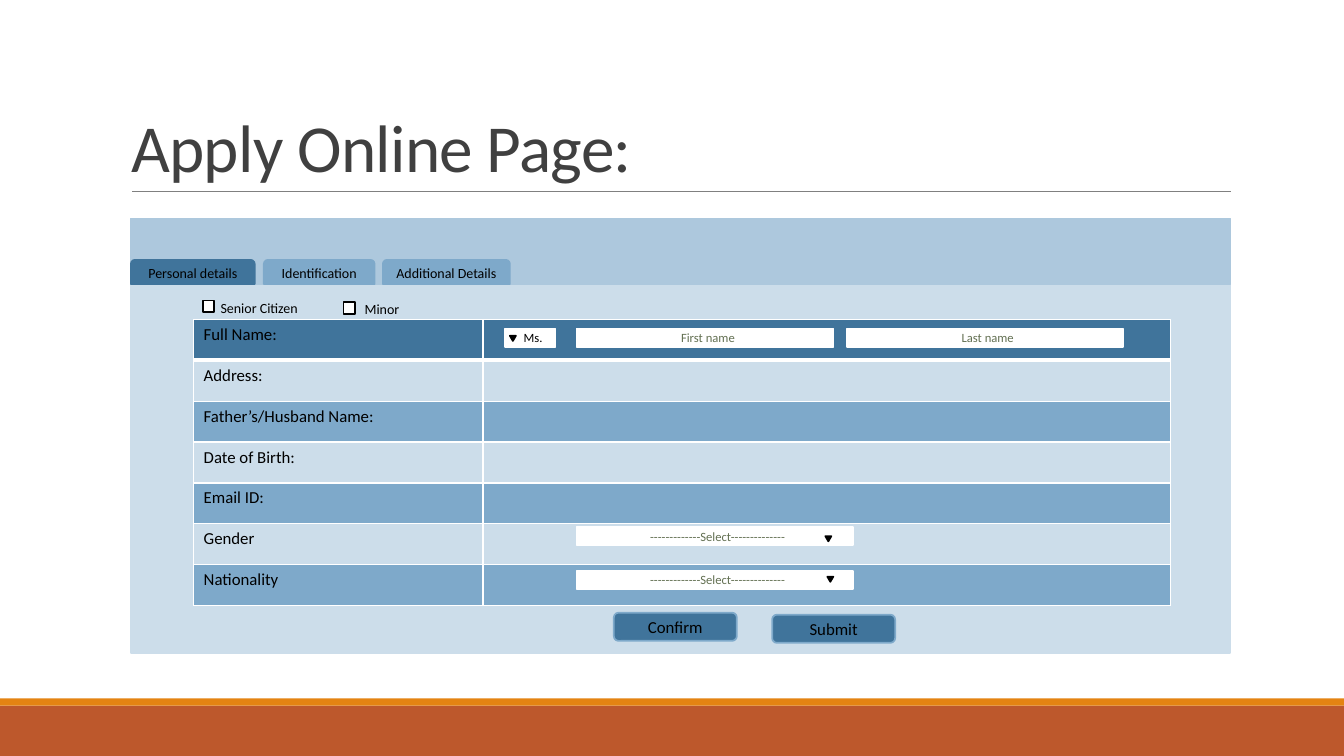
from pptx import Presentation
from pptx.util import Cm, Pt
from pptx.dml.color import RGBColor
from pptx.enum.shapes import MSO_SHAPE as Kind, MSO_CONNECTOR as Link
from pptx.enum.text import MSO_ANCHOR as Anchor, MSO_AUTO_SIZE as Fit, PP_ALIGN as Align
from pptx.oxml import parse_xml
from pptx.oxml.ns import nsdecls
from lxml.etree import SubElement

DEEP, MID, SOFT, PALE = "40749B", "7EA9CA", "ADC8DD", "CCDDEA"
WHITE, BLACK, MOSS = "FFFFFF", "000000", "637052"
WIDE, HIGH = 33.87, 19.05
LEFT, SPAN = 3.3, 27.69
ROW, TOP = 1.03, 8.05

title = "Apply Online Page:"
bands = [(17.78, 1.27, "BD582C"), (17.6, 0.18, "E48312")]
panels = [(5.51, 10.95, PALE), (5.51, 1.66, SOFT)]
tabs = [("Personal details", 3.3, 3.12, DEEP), ("Identification", 6.65, 2.79, MID),
        ("Additional Details", 9.65, 3.2, MID)]
checks = [("Senior Citizen", 5.11, 7.57, 5.31, 7.42), ("Minor", 8.66, 7.62, 8.94, 7.44)]
labels = ["Full Name:", "Address:", "Father’s/Husband Name:", "Date of Birth:",
          "Email ID:", "Gender", "Nationality"]
columns = [7.29, 17.32]
pick = "-------------Select--------------"
fields = [("Ms.", 12.73, 8.28, 1.27, BLACK), ("First name", 14.53, 8.28, 6.48, MOSS),
          ("Last name", 21.34, 8.28, 6.96, MOSS), (pick, 14.53, 14.38, 6.96, MOSS),
          (pick, 14.53, 13.28, 6.96, MOSS)]
arrows = [(12.85, 8.46), (20.85, 14.53), (20.8, 13.51)]
buttons = [("Submit", 19.46, 15.49), ("Confirm", 15.47, 15.44)]


def tint(code):
    return RGBColor.from_string(code)


def write(frame, text, size, color=BLACK, align=Align.LEFT):
    para = frame.paragraphs[0]
    para.alignment = align
    run = para.add_run()
    run.text = text
    run.font.size = Pt(size)
    run.font.name = "Calibri"
    run.font.color.rgb = tint(color)
    return run


def draw(kind, x, y, w, h, fill, line=None):
    shape = slide.shapes.add_shape(kind, Cm(x), Cm(y), Cm(w), Cm(h))
    shape.shadow.inherit = False
    shape.fill.solid()
    shape.fill.fore_color.rgb = tint(fill)
    if line:
        shape.line.color.rgb = tint(line)
        shape.line.width = Pt(1.25)
    else:
        shape.line.fill.background()
    return shape


def label(shape, text, size, color=BLACK, shift=0):
    frame = shape.text_frame
    frame.word_wrap = True
    frame.vertical_anchor = Anchor.MIDDLE
    frame.margin_top = frame.margin_bottom = 0
    frame.margin_left = Cm(0.25 + shift)
    write(frame, text, size, color, Align.CENTER)


def edge(cell, side, width):
    props = cell._tc.get_or_add_tcPr()
    props.append(parse_xml(
        f'<a:ln{side} {nsdecls("a")} w="{Pt(width)}"><a:solidFill>'
        f'<a:srgbClr val="{WHITE}"/></a:solidFill></a:ln{side}>'))


deck = Presentation()
deck.slide_width, deck.slide_height = Cm(WIDE), Cm(HIGH)
slide = deck.slides.add_slide(deck.slide_layouts[5])

for y, h, fill in bands:
    draw(Kind.RECTANGLE, 0, y, WIDE, h, fill)
rule = slide.shapes.add_connector(Link.STRAIGHT, Cm(3.33), Cm(4.83), Cm(31.01), Cm(4.83))
rule.line.color.rgb = tint("808080")
rule.line.width = Pt(0.5)
SubElement(rule._element.spPr, "{http://schemas.openxmlformats.org/drawingml/2006/main}effectLst")

head = slide.shapes.title
head.left, head.top, head.width, head.height = Cm(3.05), Cm(0.79), Cm(27.94), Cm(4.04)
head.text_frame.word_wrap = True
head.text_frame.auto_size = Fit.NONE
head.text_frame.vertical_anchor = Anchor.BOTTOM
run = write(head.text_frame, title, 48, "404040")
run._r.get_or_add_rPr().set("spc", "-50")
head.text_frame.paragraphs[0].line_spacing = 0.85

for y, h, fill in panels:
    draw(Kind.RECTANGLE, LEFT, y, SPAN, h, fill, fill)
for text, x, w, fill in tabs:
    label(draw(Kind.ROUND_2_SAME_RECTANGLE, x, 6.55, w, 0.61, fill, fill), text, 10)

grid = slide.shapes.add_table(len(labels), 2, Cm(4.88), Cm(TOP), Cm(sum(columns)),
                              Cm(ROW * len(labels))).table
grid.first_row = grid.horz_banding = False
for col, w in zip(grid.columns, columns):
    col.width = Cm(w)
for i, text in enumerate(labels):
    grid.rows[i].height = Cm(ROW)
    write(grid.cell(i, 0).text_frame, text, 12)
    for cell in grid.rows[i].cells:
        for side in "LRTB":
            edge(cell, side, 3 if (i, side) in [(0, "B"), (1, "T")] else 1)
        cell.fill.solid()
        cell.fill.fore_color.rgb = tint(DEEP if i == 0 else PALE if i % 2 else MID)

for text, x, y, left, top in checks:
    draw(Kind.RECTANGLE, x, y, 0.28, 0.3, WHITE, BLACK)
    note = slide.shapes.add_textbox(Cm(left), Cm(top), Cm(3.76), Cm(0.69)).text_frame
    note.word_wrap = True
    note.auto_size = Fit.SHAPE_TO_FIT_TEXT
    write(note, text, 10)

for text, x, y, w, color in fields:
    label(draw(Kind.RECTANGLE, x, y, w, 0.46, WHITE, WHITE), text, 9, color, 0.14)
for x, y in arrows:
    draw(Kind.ISOSCELES_TRIANGLE, x, y, 0.15, 0.13, BLACK, BLACK).rotation = 180
for text, x, y in buttons:
    label(draw(Kind.ROUNDED_RECTANGLE, x, y, 3.1, 0.71, DEEP, MID), text, 12)

deck.save("out.pptx")
